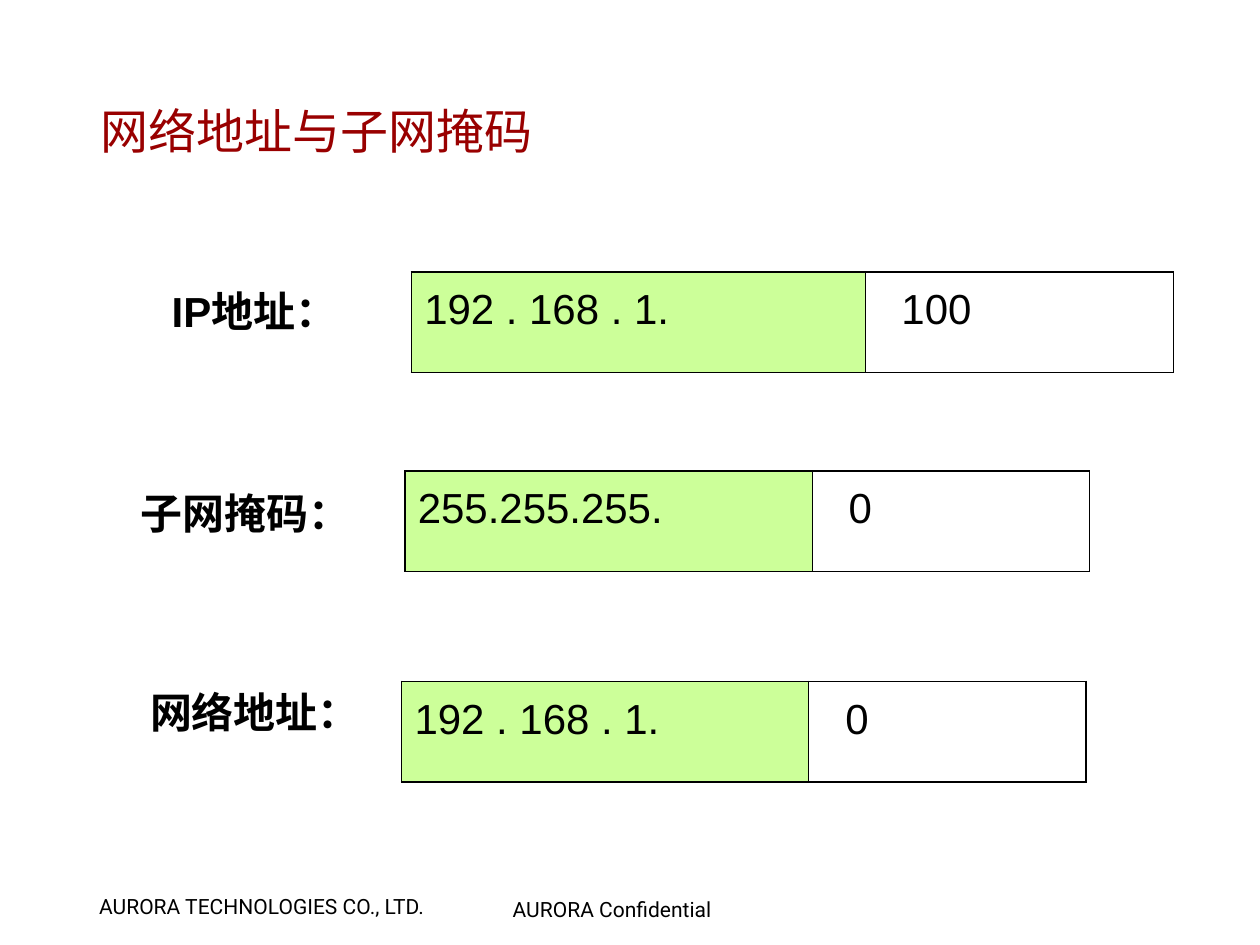
from dataclasses import dataclass

from lxml import etree
from pptx import Presentation
from pptx.dml.color import RGBColor
from pptx.enum.text import MSO_ANCHOR, PP_ALIGN
from pptx.oxml.ns import qn
from pptx.util import Inches, Pt

LEFT = PP_ALIGN.LEFT
TOP = MSO_ANCHOR.TOP
MIDDLE = MSO_ANCHOR.MIDDLE


@dataclass(frozen=True)
class Theme:
    black: str = "000000"
    white: str = "FFFFFF"
    red: str = "990000"
    green: str = "CCFF99"
    heading_font: str = "Roboto"
    body_font: str = "Arial"
    title_size: int = 32
    body_size: int = 28
    footer_size: int = 14
    outer_line: float = 1.08
    inner_line: float = 0.45


THEME = Theme()


def write(frame, text, font, size, color=THEME.black, bold=False):
    frame.text = text
    para = frame.paragraphs[0]
    para.alignment = LEFT
    para.font.name = font
    para.font.size = Pt(size)
    para.font.bold = bold
    para.font.color.rgb = RGBColor.from_string(color)
    return para


def set_borders(cell, widths):
    properties = cell._tc.get_or_add_tcPr()
    for index, (side, width) in enumerate(zip("LRTB", widths)):
        line = etree.Element(qn(f"a:ln{side}"), w=str(Pt(width)))
        fill = etree.SubElement(line, qn("a:solidFill"))
        etree.SubElement(fill, qn("a:srgbClr"), val=THEME.black)
        properties.insert(index, line)


deck = Presentation()
deck.slide_width = Inches(11.67)
deck.slide_height = Inches(8.75)
page = deck.slides.add_slide(deck.slide_layouts[5])

title = page.shapes.title
title.left, title.top = Inches(0.83), Inches(0.81)
title.width, title.height = Inches(8.74), Inches(0.8)
title.text_frame.vertical_anchor = MIDDLE
write(title.text_frame, "网络地址与子网掩码", THEME.heading_font, THEME.title_size, THEME.red)

label_right = 3.54
row_height = 0.93
address_rows = [
    ("IP地址：", 1.47, 2.49, 3.81, 2.52, (4.2, 2.86), ("192 . 168 . 1.", "100")),
    ("子网掩码：", 1.18, 4.36, 3.72 + 0.03, 4.36, (3.77, 2.57), ("255.255.255.", "0")),
    ("网络地址：", 1.27, 6.2, 3.72, 6.31, (3.77, 2.57), ("192 . 168 . 1.", "0")),
]
outer, inner = THEME.outer_line, THEME.inner_line
cell_styles = [
    (THEME.green, 0.12, (outer, inner, outer, outer)),
    (THEME.white, 0.34, (inner, outer, outer, outer)),
]

for label, label_left, label_top, left, top, widths, values in address_rows:
    box = page.shapes.add_textbox(
        Inches(label_left), Inches(label_top), Inches(label_right - label_left), Inches(0.68)
    )
    frame = box.text_frame
    frame.word_wrap = True
    frame.margin_left = frame.margin_right = Inches(0.12)
    frame.margin_top = frame.margin_bottom = Inches(0.06)
    para = write(frame, label, THEME.body_font, THEME.body_size, bold=True)
    para.line_spacing = 1.2

    table = page.shapes.add_table(
        1, 2, Inches(left), Inches(top), Inches(sum(widths)), Inches(row_height)
    ).table
    table.first_row = False
    table.horz_banding = False
    for column, (width, value, style) in enumerate(zip(widths, values, cell_styles)):
        fill_color, indent, borders = style
        table.columns[column].width = Inches(width)
        cell = table.cell(0, column)
        cell.fill.solid()
        cell.fill.fore_color.rgb = RGBColor.from_string(fill_color)
        cell.vertical_anchor = TOP
        cell.margin_left, cell.margin_right = Inches(indent), Inches(0.12)
        cell.margin_top = cell.margin_bottom = Inches(0.05)
        para = write(cell.text_frame, value, THEME.body_font, THEME.body_size)
        para.line_spacing = 1.2
        set_borders(cell, borders)

footers = [
    ("AURORA TECHNOLOGIES CO., LTD.", 0.82, 8.22, 3.37),
    ("AURORA Confidential", 4.65, 8.25, 2.18),
]
for text, left, top, width in footers:
    box = page.shapes.add_textbox(Inches(left), Inches(top), Inches(width), Inches(0.33))
    box.text_frame.word_wrap = False
    write(box.text_frame, text, THEME.heading_font, THEME.footer_size)

deck.save("out.pptx")
